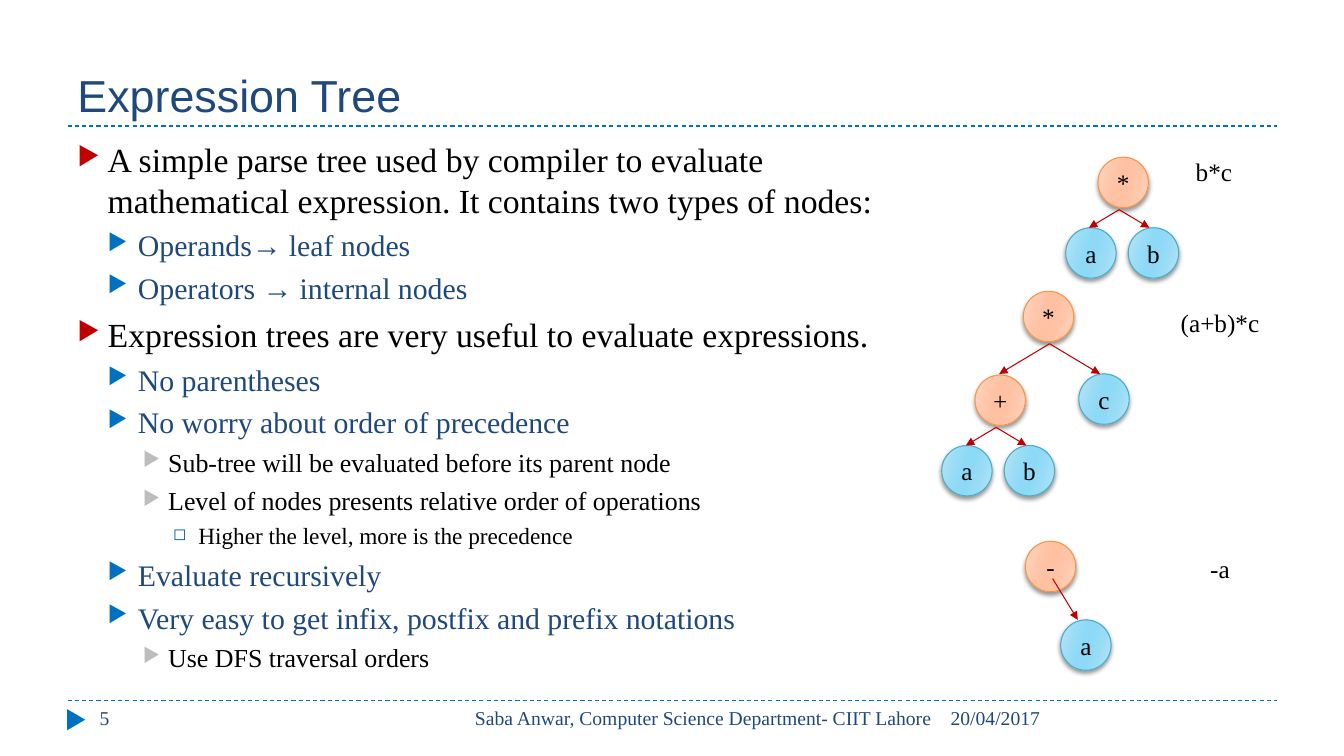
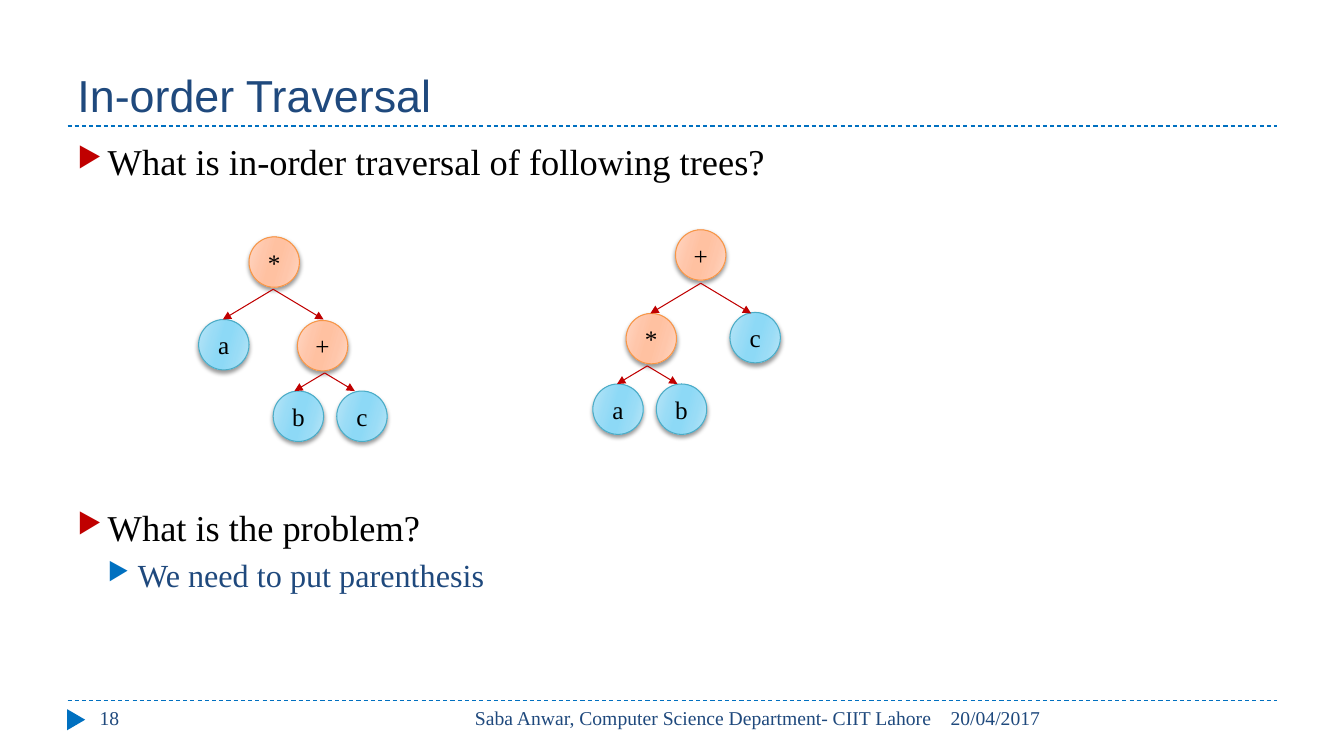
"""Build two slides on expression trees and their in-order traversal."""
from dataclasses import dataclass

from lxml import etree
from pptx import Presentation
from pptx.dml.color import RGBColor
from pptx.enum.dml import MSO_LINE
from pptx.enum.shapes import MSO_CONNECTOR, MSO_SHAPE
from pptx.enum.text import MSO_ANCHOR, PP_ALIGN
from pptx.oxml import parse_xml
from pptx.oxml.ns import nsdecls, qn
from pptx.slide import Slide
from pptx.text.text import TextFrame, _Paragraph
from pptx.util import Emu, Pt

PX = 9144
LEFT, CENTER, RIGHT = PP_ALIGN.LEFT, PP_ALIGN.CENTER, PP_ALIGN.RIGHT
TOP, MIDDLE, BOTTOM = MSO_ANCHOR.TOP, MSO_ANCHOR.MIDDLE, MSO_ANCHOR.BOTTOM
STRAIGHT, DASH = MSO_CONNECTOR.STRAIGHT, MSO_LINE.DASH
OVAL, TRIANGLE = MSO_SHAPE.OVAL, MSO_SHAPE.ISOSCELES_TRIANGLE
SERIF, SANS = "Times New Roman", "Arial"
COLORS = {"navy": "1F497D", "blue": "0070C0", "red": "C00000", "black": "000000",
          "gray": "BDBDBD", "square": "0063A9", "operator": "F79646", "operand": "4BACC6"}
SHADES = {"operator": ("FFD7C5", "FFC6AA", "FFC1A1"), "operand": ("B9E5F7", "99DCF6", "8DD9F6")}
STOPS = ((0, 0), (30, 1), (45, 2), (55, 2), (73, 1), (100, 0))
OPERATORS = "*+-"
NODE = 50
FOOTER = "Saba Anwar, Computer Science Department- CIIT Lahore"
DATE = "20/04/2017"


@dataclass(frozen=True)
class Level:
    margin: int
    hang: int
    before: int
    color: str
    bullet: str
    bullet_color: str
    bullet_size: int


@dataclass(frozen=True)
class Item:
    level: int
    text: str
    before: float | None = None


@dataclass(frozen=True)
class Node:
    label: str
    x: int
    y: int


@dataclass(frozen=True)
class Fork:
    x: int
    y: int
    dx: int
    dy: int


@dataclass(frozen=True)
class Label:
    text: str
    x: int
    y: int
    w: int


LEVELS = (
    Level(30, 30, 6, "black", "▶", "red", 76),
    Level(60, 30, 5, "navy", "▶", "blue", 76),
    Level(90, 25, 5, "black", "▶", "gray", 76),
    Level(120, 25, 4, "black", "◻", "square", 70),
)
WIDE, NARROW = (50, 30), (30, 18)

TREE_ITEMS = (
    Item(0, "A simple parse tree used by compiler to evaluate mathematical expression. "
            "It contains two types of nodes:"),
    Item(1, "Operands→ leaf nodes"),
    Item(1, "Operators → internal nodes"),
    Item(0, "Expression trees are very useful to evaluate expressions."),
    Item(1, "No parentheses"),
    Item(1, "No worry about order of precedence"),
    Item(2, "Sub-tree will be evaluated before its parent node"),
    Item(2, "Level of nodes presents relative order of operations"),
    Item(3, "Higher the level, more is the precedence"),
    Item(1, "Evaluate recursively"),
    Item(1, "Very easy to get infix, postfix and prefix notations"),
    Item(2, "Use DFS traversal orders"),
)
TREE_NODES = (
    Node("*", 1089, 156), Node("a", 1057, 226), Node("b", 1119, 226),
    Node("*", 1015, 289), Node("+", 967, 372), Node("c", 1070, 371),
    Node("a", 934, 442), Node("b", 996, 442),
    Node("-", 1017, 537), Node("a", 1052, 615),
)
TREE_FORKS = (Fork(1110, 208, *NARROW), Fork(1041, 341, *WIDE), Fork(988, 424, *NARROW))
TREE_LABELS = (Label("b*c", 1154, 143, 100), Label("(a+b)*c", 1154, 292, 112),
               Label("-a", 1154, 536, 112))

ORDER_ITEMS = (
    Item(0, "What is in-order traversal of following trees?"),
    Item(0, "What is the problem?", 230),
    Item(1, "We need to put parenthesis"),
)
ORDER_NODES = (
    Node("*", 247, 235), Node("a", 197, 317), Node("+", 295, 318),
    Node("b", 271, 388), Node("c", 334, 388),
    Node("+", 670, 228), Node("*", 621, 311), Node("c", 724, 310),
    Node("a", 588, 381), Node("b", 651, 381),
)
ORDER_FORKS = (Fork(271, 287, *WIDE), Fork(322, 370, *NARROW),
               Fork(695, 281, *WIDE), Fork(642, 363, *NARROW))


def px(*lengths: int) -> list[Emu]:
    return [Emu(n * PX) for n in lengths]


def rgb(name: str) -> RGBColor:
    return RGBColor.from_string(COLORS[name])


def add_run(p: _Paragraph, text: str, *, size: float, color: str = "black",
            font: str = SERIF) -> None:
    r = p.add_run()
    r.text = text
    r.font.size, r.font.name = Pt(size), font
    r.font.color.rgb = rgb(color)


def write(tf: TextFrame, text: str, *, size: float = 18, color: str = "black",
          font: str = SERIF, align: PP_ALIGN = LEFT, anchor: MSO_ANCHOR = TOP,
          side: int = 10) -> None:
    tf.word_wrap, tf.vertical_anchor = True, anchor
    tf.margin_left = tf.margin_right = Emu(side * PX)
    p = tf.paragraphs[0]
    p.alignment = align
    add_run(p, text, size=size, color=color, font=font)


def text_box(s: Slide, box: tuple[int, int, int, int], text: str, **fmt) -> None:
    write(s.shapes.add_textbox(*px(*box)).text_frame, text, **fmt)


def add_line(s: Slide, x1: int, y1: int, x2: int, y2: int, *, color: str,
             dashed: bool = False, arrow: bool = False) -> None:
    line = s.shapes.add_connector(STRAIGHT, *px(x1, y1, x2, y2))
    line.line.color.rgb, line.line.width = rgb(color), Pt(0.75)
    if dashed:
        line.line.dash_style = DASH
    if arrow:
        etree.SubElement(line.line._get_or_add_ln(), qn("a:tailEnd"), type="triangle")
    etree.SubElement(line._element.spPr, qn("a:effectLst"))


def add_frame(s: Slide, title: str, number: int) -> None:
    for y in (695, 125):
        add_line(s, 67, y, 1267, y, color="blue", dashed=True)
    marker = s.shapes.add_shape(TRIANGLE, *px(65, 705, 21, 18))
    marker.rotation, marker.shadow.inherit = 90, False
    marker.fill.solid()
    marker.fill.fore_color.rgb = rgb("blue")
    marker.line.fill.background()
    text_box(s, (67, 17, 1200, 108), title, size=32, color="navy", font=SANS, anchor=BOTTOM)
    for x, w, text, align in ((933, 334, DATE, LEFT), (423, 511, FOOTER, RIGHT),
                              (89, 289, str(number), LEFT)):
        text_box(s, (x, 695, w, 40), text, size=14, color="navy", align=align)


def add_body(s: Slide, width: int, items: tuple[Item, ...], sizes: tuple[float, ...]) -> None:
    tf = s.shapes.add_textbox(*px(67, 133, width, 540)).text_frame
    tf.word_wrap = True
    for i, item in enumerate(items):
        level = LEVELS[item.level]
        p = tf.add_paragraph() if i else tf.paragraphs[0]
        p.level = item.level
        pPr = p._p.get_or_add_pPr()
        pPr.set("marL", str(level.margin * PX))
        pPr.set("indent", str(-level.hang * PX))
        tint = etree.SubElement(pPr, qn("a:buClr"))
        etree.SubElement(tint, qn("a:srgbClr"), val=COLORS[level.bullet_color])
        etree.SubElement(pPr, qn("a:buSzPct"), val=str(level.bullet_size * 1000))
        etree.SubElement(pPr, qn("a:buChar"), char=level.bullet)
        if i:
            p.space_before = Pt(level.before if item.before is None else item.before)
        add_run(p, item.text, size=sizes[item.level], color=level.color)


def add_node(s: Slide, node: Node) -> None:
    kind = "operator" if node.label in OPERATORS else "operand"
    circle = s.shapes.add_shape(OVAL, *px(node.x, node.y, NODE, NODE))
    circle.line.color.rgb, circle.line.width = rgb(kind), Pt(0.75)
    stops = "".join(f'<a:gs pos="{pos * 1000}"><a:srgbClr val="{SHADES[kind][i]}"/></a:gs>'
                    for pos, i in STOPS)
    spPr = circle._element.spPr
    spPr.find(qn("a:ln")).addprevious(parse_xml(
        f'<a:gradFill {nsdecls("a")} rotWithShape="1"><a:gsLst>{stops}</a:gsLst>'
        '<a:lin ang="960000" scaled="0"/></a:gradFill>'))
    spPr.append(parse_xml(
        f'<a:effectLst {nsdecls("a")}><a:outerShdw blurRad="38100" dist="25400" dir="5400000">'
        f'<a:srgbClr val="{COLORS["black"]}"><a:alpha val="40000"/></a:srgbClr>'
        '</a:outerShdw></a:effectLst>'))
    write(circle.text_frame, node.label, align=CENTER, anchor=MIDDLE, side=0)


def add_trees(s: Slide, nodes: tuple[Node, ...], forks: tuple[Fork, ...]) -> None:
    for node in nodes:
        add_node(s, node)
    for fork in forks:
        for side in (-1, 1):
            add_line(s, fork.x, fork.y, fork.x + side * fork.dx, fork.y + fork.dy,
                     color="red", arrow=True)


def add_slide(prs: Presentation, title: str, number: int) -> Slide:
    s = prs.slides.add_slide(prs.slide_layouts[6])
    add_frame(s, title, number)
    return s


def main() -> None:
    prs = Presentation()
    prs.slide_width, prs.slide_height = px(1333, 750)

    s = add_slide(prs, "Expression Tree", 5)
    add_body(s, 867, TREE_ITEMS, (24.1, 21.3, 18.5, 16.6))
    add_trees(s, TREE_NODES, TREE_FORKS)
    add_line(s, 1044, 574, 1069, 615, color="red", arrow=True)
    for label in TREE_LABELS:
        text_box(s, (label.x, label.y, label.w, 55), label.text, align=CENTER, anchor=MIDDLE)

    s = add_slide(prs, "In-order Traversal", 18)
    add_body(s, 1200, ORDER_ITEMS, (26, 23))
    add_trees(s, ORDER_NODES, ORDER_FORKS)

    prs.save("out.pptx")


if __name__ == "__main__":
    main()
